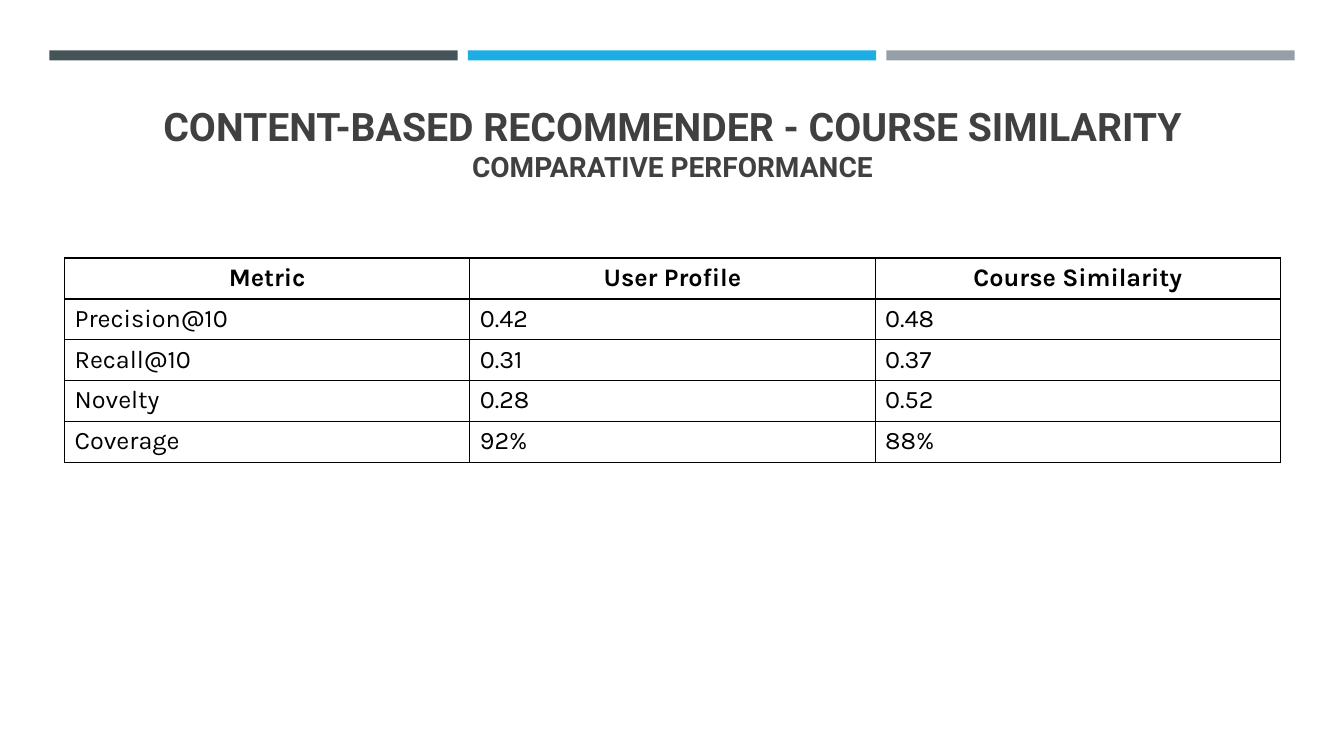
from lxml.etree import SubElement
from pptx import Presentation
from pptx.dml.color import RGBColor as RGB
from pptx.enum.shapes import MSO_SHAPE as SHAPE
from pptx.enum.text import MSO_ANCHOR as ANCHOR, PP_ALIGN as ALIGN
from pptx.oxml.ns import qn
from pptx.util import Inches, Pt

COLORS = {
    "slate": "465359",
    "blue": "1CADE4",
    "gray": "969FA7",
    "title": "404040",
    "black": "000000",
}
ROWS = [
    ("Metric", "User Profile", "Course Similarity"),
    ("Precision@10", "0.42", "0.48"),
    ("Recall@10", "0.31", "0.37"),
    ("Novelty", "0.28", "0.52"),
    ("Coverage", "92%", "88%"),
]


def style(run, face, size, color, bold):
    font = run.font
    font.name = face
    font.size = Pt(size)
    font.bold = bold
    font.color.rgb = RGB.from_string(COLORS[color])


def add_bars(slide, left, top, width, height):
    names = ("slate", "blue", "gray")
    gap = 0.1
    span = (width - gap * (len(names) - 1)) / len(names)
    for i, name in enumerate(names):
        bar = slide.shapes.add_shape(
            SHAPE.RECTANGLE, Inches(left + i * (span + gap)), Inches(top),
            Inches(span), Inches(height))
        bar.shadow.inherit = False
        bar.fill.solid()
        bar.fill.fore_color.rgb = RGB.from_string(COLORS[name])
        bar.line.fill.background()


def add_title(slide, left, top, width, height):
    box = slide.shapes.add_textbox(
        Inches(left), Inches(top), Inches(width), Inches(height))
    frame = box.text_frame
    frame.word_wrap = True
    frame.vertical_anchor = ANCHOR.MIDDLE
    para = frame.paragraphs[0]
    para.text = "CONTENT-BASED RECOMMENDER - COURSE SIMILARITY\vCOMPARATIVE PERFORMANCE"
    para.alignment = ALIGN.CENTER
    for run, size in zip(para.runs, (28, 20)):
        style(run, "Roboto", size, "title", True)


def add_border(cell):
    props = cell._tc.get_or_add_tcPr()
    for side in ("lnL", "lnR", "lnT", "lnB"):
        line = SubElement(props, qn("a:" + side), w=str(Pt(1)))
        fill = SubElement(line, qn("a:solidFill"))
        SubElement(fill, qn("a:srgbClr"), val=COLORS["black"])


def add_metrics(slide, left, top, width, height):
    table = slide.shapes.add_table(
        len(ROWS), len(ROWS[0]), Inches(left), Inches(top),
        Inches(width), Inches(height)).table
    table.first_row = False
    table.horz_banding = False
    for r, row in enumerate(ROWS):
        for c, text in enumerate(row):
            cell = table.cell(r, c)
            add_border(cell)
            cell.fill.background()
            para = cell.text_frame.paragraphs[0]
            para.text = text
            para.alignment = ALIGN.LEFT if r else ALIGN.CENTER
            style(para.runs[0], "Karla", 18, "black", r == 0)


def main():
    deck = Presentation()
    deck.slide_width = Inches(13.33)
    deck.slide_height = Inches(7.5)
    slide = deck.slides.add_slide(deck.slide_layouts[6])
    add_bars(slide, 0.49, 0.5, 12.35, 0.1)
    add_title(slide, 0.64, 0.77, 12.06, 1.3)
    add_metrics(slide, 0.64, 2.56, 12.06, 2.03)
    deck.save("out.pptx")


if __name__ == "__main__":
    main()
